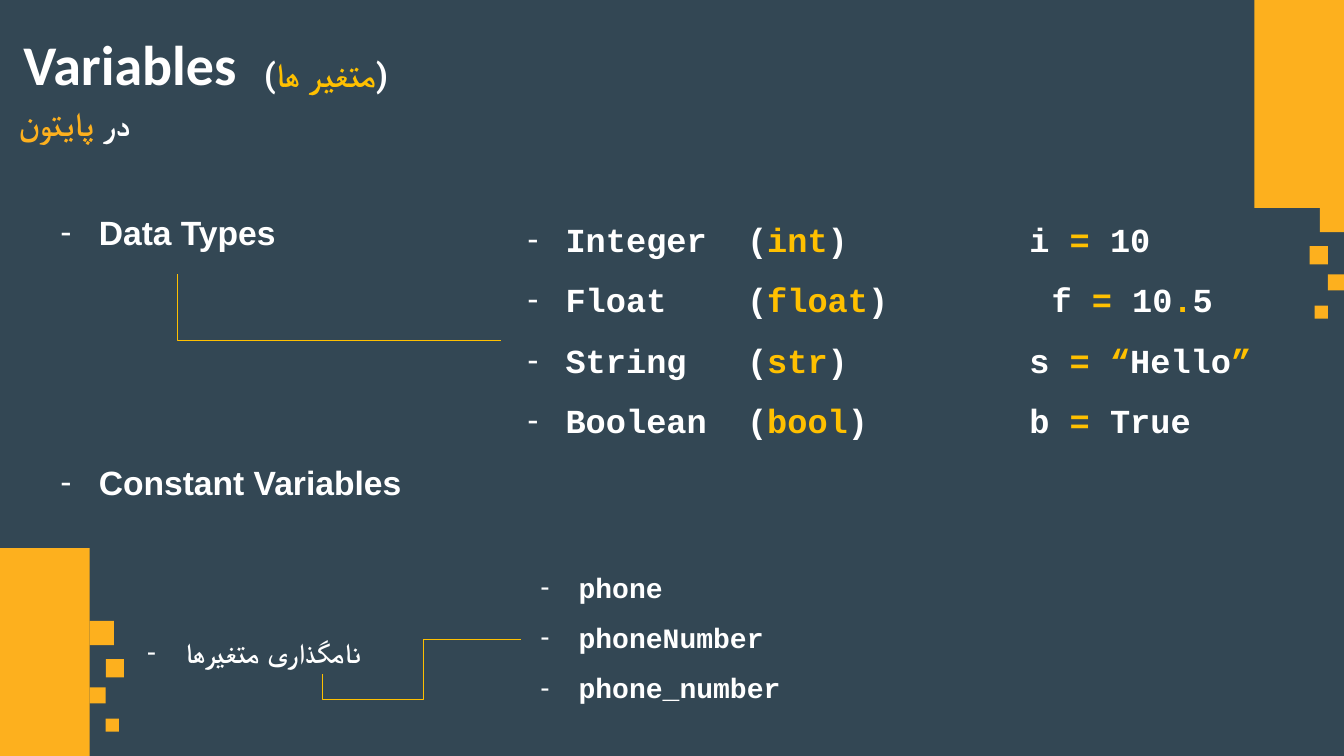
from lxml import etree
from pptx import Presentation
from pptx.dml.color import RGBColor
from pptx.enum.shapes import MSO_CONNECTOR, MSO_SHAPE
from pptx.enum.text import MSO_ANCHOR, MSO_AUTO_SIZE, PP_ALIGN
from pptx.oxml.ns import qn
from pptx.util import Emu, Inches, Pt

RECT = MSO_SHAPE.RECTANGLE
ELBOW = MSO_CONNECTOR.ELBOW
TOP = MSO_ANCHOR.TOP
NO_FIT = MSO_AUTO_SIZE.NONE
LEFT, CENTER = PP_ALIGN.LEFT, PP_ALIGN.CENTER

SLATE = RGBColor(0x29, 0x3E, 0x4B)
WHITE = RGBColor(0xFF, 0xFF, 0xFF)
ORANGE = RGBColor(0xFD, 0xB0, 0x1E)
GOLD = RGBColor(0xFF, 0xC0, 0x00)

WIDTH, HEIGHT = Inches(13.33), Inches(7.5)
INDENT = Inches(0.38)
BLOCK_W, BLOCK_H = 6.67, 27.5
# Distance from the block's outer edge, distance along it, side (inches)
PIXELS = [(0.16, 0.38, 0.18), (0, 0, 0.24), (0, 0.66, 0.16), (0.16, 0.97, 0.13)]

# Runs alternate between white and the accent colour
DATA_TYPES = [
    ["Integer\t(", "int", ")\ti ", "=", " 10"],
    ["Float\t(", "float", ")\tf ", "=", " 10", ".", "5"],
    ["String\t(", "str", ")\ts ", "= “", "Hello", "”"],
    ["Boolean\t(", "bool", ")\tb ", "=", " True"],
]
TYPE_STOP = 2.18
VALUE_STOPS = [4.98, 5.2, 4.98, 4.98]
NAMES = [["phone"], ["phoneNumber"], ["phone_number"]]


def area(x, y, w, h):
    """Turn percentages of the slide into left, top, width, height."""
    return [Emu(round(share * side / 100))
            for share, side in zip((x, y, w, h), (WIDTH, HEIGHT) * 2)]


def add_rect(slide, box, color):
    sp = slide.shapes.add_shape(RECT, *box)
    sp.shadow.inherit = False
    sp.fill.solid()
    sp.fill.fore_color.rgb = color
    sp.line.fill.background()
    return sp


def add_background(slide):
    sp = add_rect(slide, area(0, 0, 100, 100), SLATE)
    color = sp.element.spPr.find(qn("a:solidFill"))[0]
    etree.SubElement(color, qn("a:alpha")).set("val", "95000")
    sp.element.getparent().insert(2, sp.element)


def add_corner(slide, x, y, pixel_top, mirrored):
    """Draw a corner block and its trail of squares; mirrored runs from the right edge."""
    box = area(x, y, BLOCK_W, BLOCK_H)
    add_rect(slide, box, ORANGE)
    edge = box[0] + box[2]
    top = HEIGHT * pixel_top / 100
    for out, down, side in PIXELS:
        left = edge - Inches(out + side) if mirrored else edge + Inches(out)
        square = (round(left), round(top + Inches(down)), Inches(side), Inches(side))
        add_rect(slide, square, ORANGE)


def write(sp, box, lines, font, size, align=LEFT, spacing=1.0, accent=GOLD):
    """Place a shape and fill it with lines of runs in alternating colours."""
    sp.left, sp.top, sp.width, sp.height = box
    tf = sp.text_frame
    tf.word_wrap = True
    tf.auto_size = NO_FIT
    tf.vertical_anchor = TOP
    for i, texts in enumerate(lines):
        p = tf.add_paragraph() if i else tf.paragraphs[0]
        p.alignment = align
        p.line_spacing = spacing
        p.space_before = p.space_after = Pt(0)
        for j, text in enumerate(texts):
            r = p.add_run()
            r.text = text
            r.font.name = font
            r.font.size = Pt(size)
            r.font.bold = True
            r.font.color.rgb = accent if j % 2 else WHITE
    return tf


def add_dashes(tf):
    for p in tf.paragraphs:
        pPr = p._p.get_or_add_pPr()
        pPr.set("marL", str(INDENT))
        pPr.set("indent", str(-INDENT))
        etree.SubElement(pPr, qn("a:buFont")).set("typeface", "Arial")
        etree.SubElement(pPr, qn("a:buChar")).set("char", "-")


def add_tab_stops(p, stops):
    tabs = etree.SubElement(p._p.get_or_add_pPr(), qn("a:tabLst"))
    for stop in stops:
        etree.SubElement(tabs, qn("a:tab"), pos=str(Inches(stop)), algn="l")


def add_elbow(slide, box, preset, adjustments, **transform):
    x, y, w, h = box
    line = slide.shapes.add_connector(ELBOW, x, y, x + w, y + h)
    line.line.color.rgb = GOLD
    line.line.width = Pt(0.5)
    spPr = line.element.spPr
    etree.SubElement(spPr, qn("a:effectLst"))
    for name, value in transform.items():
        spPr.find(qn("a:xfrm")).set(name, value)
    geometry = spPr.find(qn("a:prstGeom"))
    geometry.set("prst", preset)
    guides = geometry.find(qn("a:avLst"))
    for i, value in enumerate(adjustments, 1):
        etree.SubElement(guides, qn("a:gd"), name=f"adj{i}", fmla=f"val {value}")


def main():
    prs = Presentation()
    prs.slide_width, prs.slide_height = WIDTH, HEIGHT
    slide = prs.slides.add_slide(prs.slide_layouts[4])
    add_background(slide)
    add_corner(slide, 0, 100 - BLOCK_H, 82.13, False)
    add_corner(slide, 100 - BLOCK_W, 0, BLOCK_H, True)
    # The right-hand trail hangs from the slide's edge, below its block

    title, topic, types, constant, names = slide.placeholders
    naming, translation, subject = [
        slide.shapes.add_textbox(0, 0, 0, 0) for _ in range(3)]

    write(title, area(-4.88, 3.2, 29.1, 10.27), [["Variables"]], "Calibri", 40, CENTER)
    write(translation, area(3.82, 6.53, 40.88, 6.67),
          [["(", "متغیر ها", ")"]], "Roboto", 24, CENTER)
    write(subject, area(-2.1, 12.93, 15.3, 6.67),
          [["در ", "پایتون"]], "Roboto", 24, CENTER, accent=ORANGE)

    lists = [
        (topic, (3.75, 26.8, 32.25, 13.2), [["Data Types"]], "Arial", 24, 1.1),
        (types, (38.48, 25.6, 58.12, 33.6), DATA_TYPES, "Courier New", 24, 1.5),
        (constant, (3.75, 59.87, 32.25, 13.2), [["Constant Variables"]], "Arial", 24, 1.1),
        (naming, (10.2, 82.93, 27.75, 6.27), [["نامگذاری متغیرها"]], "Arial", 20, 1.1),
        (names, (39.45, 72.53, 58.12, 20.67), NAMES, "Courier New", 20, 1.5),
    ]
    for sp, shares, lines, font, size, spacing in lists:
        add_dashes(write(sp, area(*shares), lines, font, size, spacing=spacing))
    for p, value_stop in zip(types.text_frame.paragraphs, VALUE_STOPS):
        add_tab_stops(p, (TYPE_STOP, value_stop))

    add_elbow(slide, area(13.2, 36.27, 24.08, 8.73), "bentConnector3", [0])
    add_elbow(slide, area(30.08, 73.73, 2.62, 26.27), "bentConnector4",
              [-70500, 50700], rot="5400000", flipH="1", flipV="1")
    prs.save("out.pptx")


if __name__ == "__main__":
    main()
